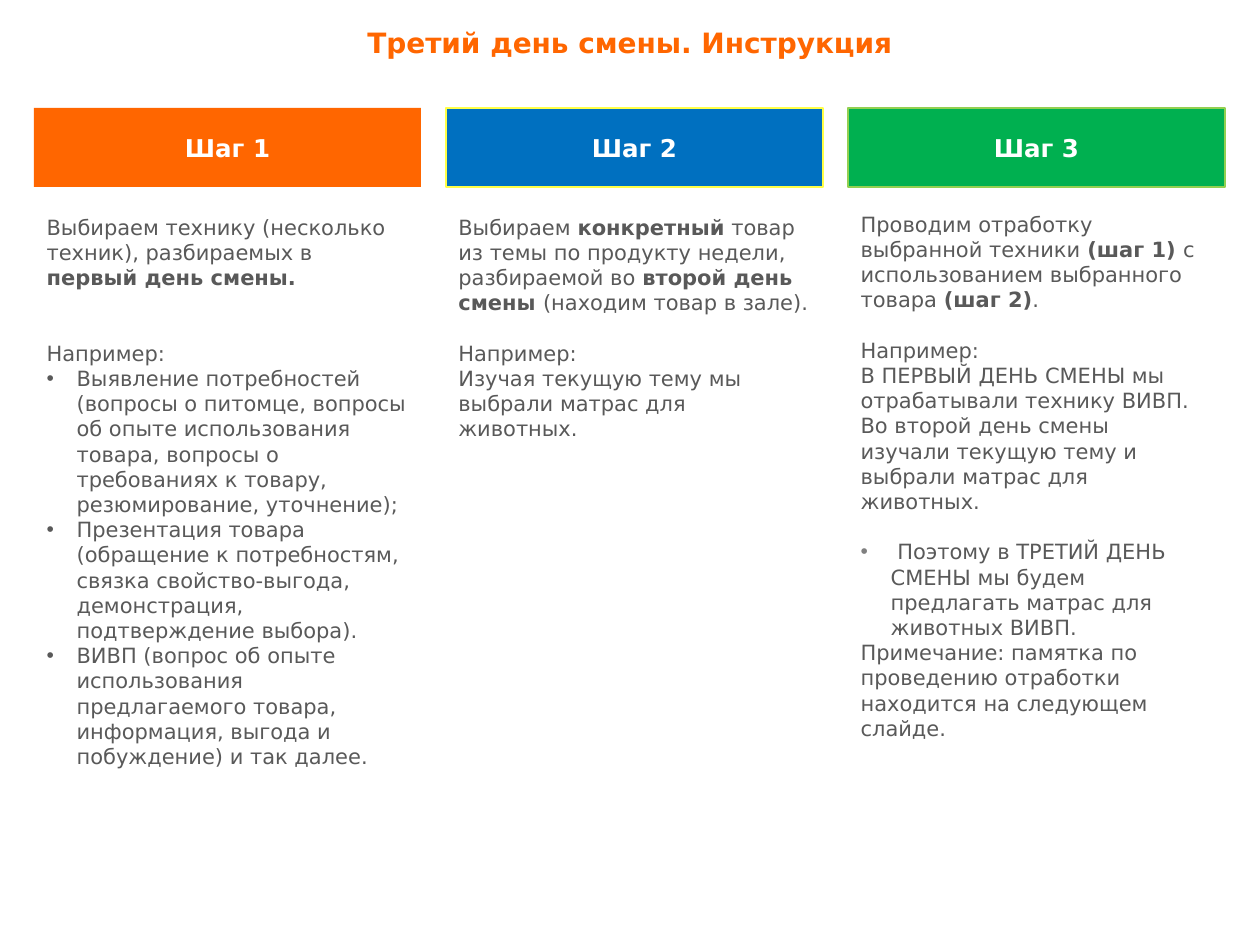
from dataclasses import dataclass

from lxml import etree
from pptx import Presentation
from pptx.dml.color import RGBColor
from pptx.enum.shapes import MSO_SHAPE
from pptx.enum.text import MSO_ANCHOR, MSO_AUTO_SIZE, PP_ALIGN
from pptx.oxml.ns import qn
from pptx.util import Emu, Pt

RECT = MSO_SHAPE.RECTANGLE
TOP, MIDDLE = MSO_ANCHOR.TOP, MSO_ANCHOR.MIDDLE
LEFT, CENTER = PP_ALIGN.LEFT, PP_ALIGN.CENTER
NO_FIT = MSO_AUTO_SIZE.NONE
SCALE = 914400 / 126
HANG = 30
HEAD_TOP, HEAD_HIGH = 108, 79


@dataclass(frozen=True)
class Theme:
    font: str = "DejaVu Sans"
    title: str = "FF6600"
    text: str = "595959"
    mute: str = "808080"
    white: str = "FFFFFF"
    title_size: int = 16
    head_size: int = 14
    text_size: int = 12
    line: float = 14.4


THEME = Theme()

# Each item: text with *bold* parts, blank lines above, bullet colour.
STEPS = [
    {
        "head": "Шаг 1", "fill": "FF6600", "edge": None,
        "left": 34, "wide": 387, "body": (208, 387, 625), "slot": 1,
        "items": [
            ("Выбираем технику (несколько техник), разбираемых в "
             "*первый день смены.*", 0, None),
            ("Например:", 2, None),
            ("Выявление потребностей (вопросы о питомце, вопросы об опыте "
             "использования товара, вопросы о требованиях к товару, "
             "резюмирование, уточнение);", 0, THEME.text),
            ("Презентация товара (обращение к потребностям, связка "
             "свойство-выгода, демонстрация, подтверждение выбора).",
             0, THEME.text),
            ("ВИВП (вопрос об опыте использования предлагаемого товара, "
             "информация, выгода и побуждение) и так далее.", 0, THEME.text),
        ],
    },
    {
        "head": "Шаг 2", "fill": "0070C0", "edge": "FFFF47",
        "left": 446, "wide": 377, "body": (208, 377, 377), "slot": None,
        "items": [
            ("Выбираем *конкретный* товар из темы по продукту недели, "
             "разбираемой во *второй день смены *(находим товар в зале).",
             0, None),
            ("Например:", 1, None),
            ("Изучая текущую тему мы выбрали матрас для животных.", 0, None),
        ],
    },
    {
        "head": "Шаг 3", "fill": "00B050", "edge": "92D050",
        "left": 848, "wide": 377, "body": (205, 367, 625), "slot": 2,
        "items": [
            ("Проводим отработку выбранной техники *(шаг 1) *с "
             "использованием выбранного товара *(шаг 2)*.", 0, None),
            ("Например:", 1, None),
            ("В ПЕРВЫЙ ДЕНЬ СМЕНЫ мы отрабатывали технику ВИВП. Во второй "
             "день смены изучали текущую тему и выбрали матрас для "
             "животных.", 0, None),
            (" Поэтому в ТРЕТИЙ ДЕНЬ СМЕНЫ мы будем предлагать матрас для "
             "животных ВИВП.", 1, THEME.mute),
            ("Примечание: памятка по проведению отработки находится на "
             "следующем слайде.", 0, None),
        ],
    },
]


def px(size):
    return Emu(round(size * SCALE))


def rgb(code):
    return RGBColor.from_string(code)


def apply(item, values):
    for name, value in values.items():
        setattr(item, name, value)


def place(shape, left, top, wide, high):
    apply(shape, {"left": px(left), "top": px(top),
                  "width": px(wide), "height": px(high)})


def frame(shape, anchor):
    apply(shape.text_frame, {"word_wrap": True, "auto_size": NO_FIT,
                             "vertical_anchor": anchor})
    return shape.text_frame


def write(para, text, size, color, bold=False):
    """Fill a paragraph; parts between asterisks are bold."""
    for index, part in enumerate(text.split("*")):
        if part:
            run = para.add_run()
            run.text = part
            apply(run.font, {"name": THEME.font, "size": Pt(size),
                             "bold": bold or index % 2 == 1})
            run.font.color.rgb = rgb(color)


def bullet(para, color):
    """Set a hanging bullet, or clear it when there is no colour."""
    props = para._p.get_or_add_pPr()
    hang = px(HANG) if color else 0
    props.set("marL", str(hang))
    props.set("indent", str(-hang))
    if not color:
        etree.SubElement(props, qn("a:buNone"))
        return
    tint = etree.SubElement(props, qn("a:buClr"))
    etree.SubElement(tint, qn("a:srgbClr"), val=color)
    etree.SubElement(props, qn("a:buFont"), typeface="Arial")
    etree.SubElement(props, qn("a:buChar"), char="•")


def add_title(slide, text):
    title = slide.shapes.title
    place(title, 0, 19, 1260, 47)
    para = frame(title, TOP).paragraphs[0]
    para.alignment = CENTER
    write(para, text, THEME.title_size, THEME.title, True)


def add_head(slide, step):
    box = slide.shapes.add_shape(RECT, 0, 0, 0, 0)
    place(box, step["left"], HEAD_TOP, step["wide"], HEAD_HIGH)
    box.shadow.inherit = False
    box.fill.solid()
    box.fill.fore_color.rgb = rgb(step["fill"])
    if step["edge"]:
        box.line.color.rgb = rgb(step["edge"])
        box.line.width = Pt(0.75)
    else:
        box.line.fill.background()
    para = frame(box, MIDDLE).paragraphs[0]
    para.alignment = CENTER
    write(para, step["head"], THEME.head_size, THEME.white, True)


def add_body(slide, step):
    if step["slot"]:
        box = slide.placeholders[step["slot"]]
    else:
        box = slide.shapes.add_textbox(0, 0, 0, 0)
    place(box, step["left"], *step["body"])
    text = frame(box, TOP)
    for index, (words, gap, color) in enumerate(step["items"]):
        para = text.add_paragraph() if index else text.paragraphs[0]
        apply(para, {"alignment": LEFT, "space_after": Pt(0),
                     "space_before": Pt(gap * THEME.line)})
        bullet(para, color)
        write(para, words, THEME.text_size, THEME.text)


def main():
    deck = Presentation()
    apply(deck, {"slide_width": px(1260), "slide_height": px(945)})
    slide = deck.slides.add_slide(deck.slide_layouts.get_by_name("Two Content"))
    add_title(slide, "Третий день смены. Инструкция")
    for step in STEPS:
        add_head(slide, step)
        add_body(slide, step)
    deck.save("out.pptx")


if __name__ == "__main__":
    main()
